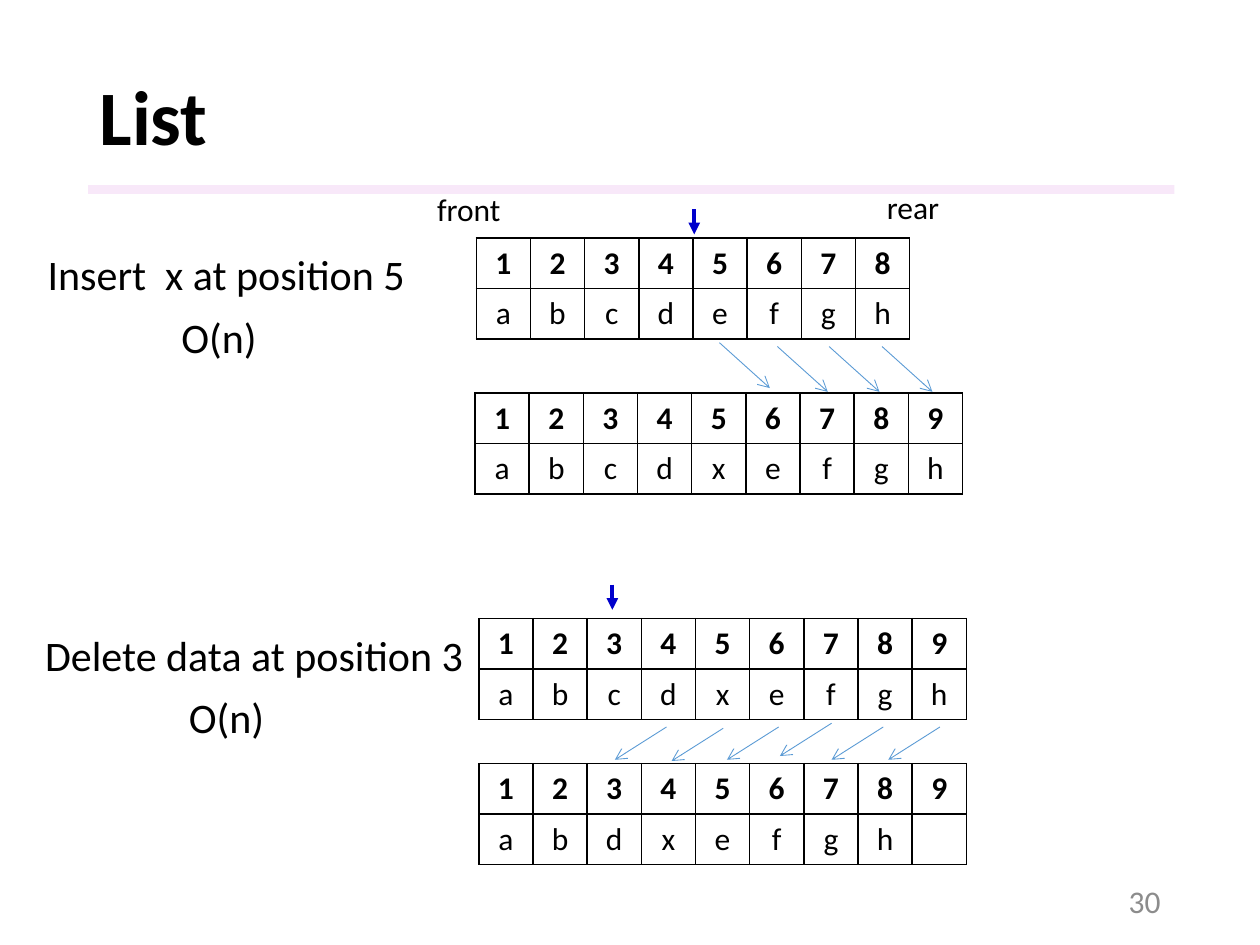
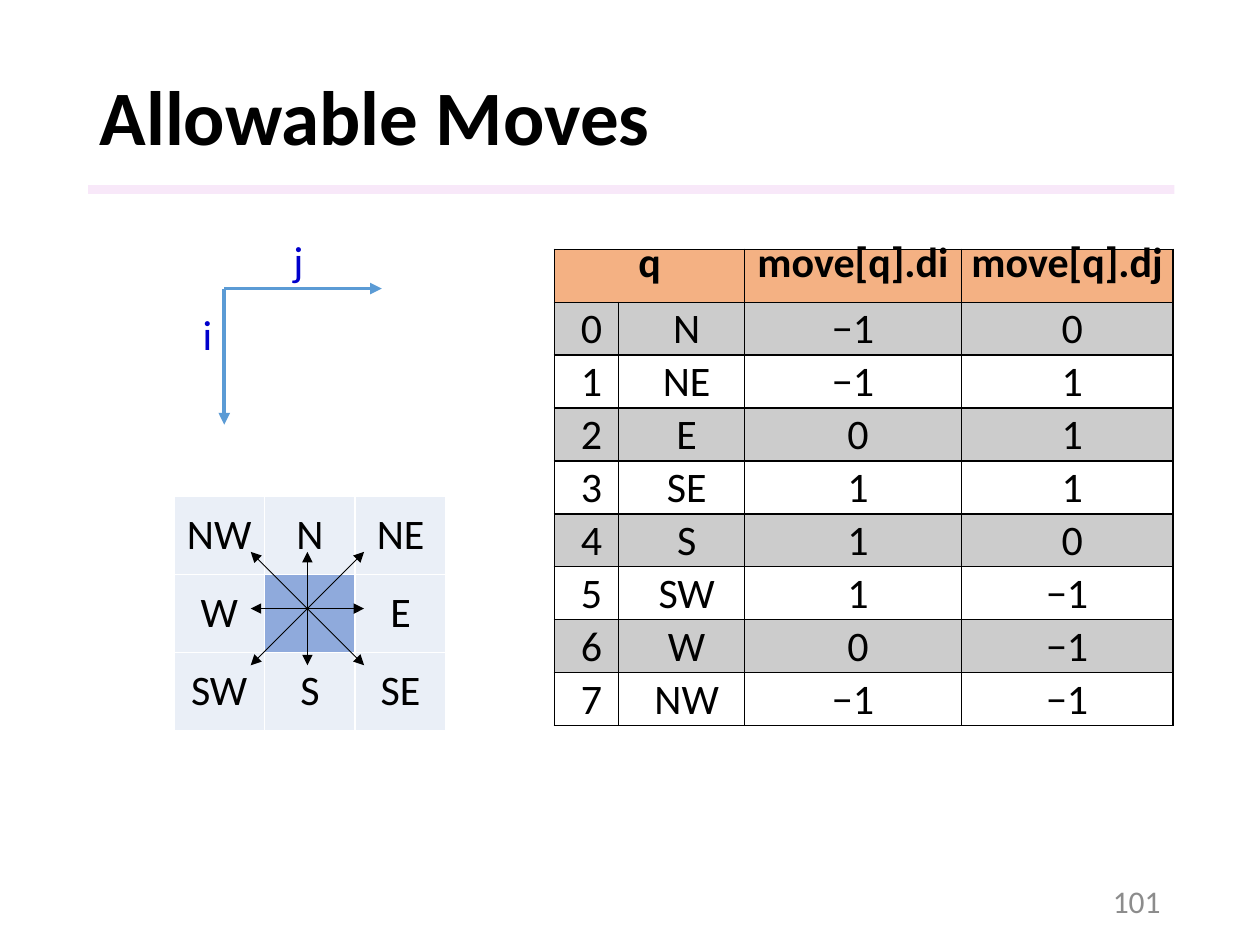
from typing import NamedTuple, Optional

from lxml import etree
from pptx import Presentation
from pptx import util as u
from pptx.dml.color import RGBColor
from pptx.enum import shapes, text
from pptx.oxml.ns import qn

FONT = "Calibri"
BLACK, WHITE, GRAY = "000000", "FFFFFF", "8C8C8C"
BAND, NAVY, SKY = "F3D2F4", "0000CC", "5B9BD5"
ORANGE, PALE, CENTRE = "F4B183", "EAEFF7", "8FAADC"
CENTERED = text.PP_ALIGN.CENTER
MIDDLE = text.MSO_ANCHOR.MIDDLE


class Label(NamedTuple):
    left: float
    top: float
    width: float
    text: str
    size: int = 24
    color: str = BLACK


class Arrow(NamedTuple):
    start: tuple[float, float]
    end: tuple[float, float]
    color: str = SKY
    width: float = 0.5
    tail: str = "triangle"
    head: Optional[str] = None


class ListState(NamedTuple):
    left: float
    top: float
    items: str
    slots: int


class CellStyle(NamedTuple):
    size: int
    bold: bool = False
    fill: Optional[str] = None
    alpha: int = 100
    border: str = BLACK
    anchor: text.MSO_ANCHOR = text.MSO_ANCHOR.TOP
    compact: bool = False


LIST_STATES = (
    ListState(3.78, 1.89, "abcdefgh", 8),
    ListState(3.77, 3.12, "abcdxefgh", 9),
    ListState(3.8, 4.91, "abcdxefgh", 9),
    ListState(3.8, 6.06, "abdxefgh", 9),
)
LIST_LABELS = (
    Label(0.28, 1.92, 3.06, "Insert  x at position 5"),
    Label(0.26, 4.95, 3.55, "Delete data at position 3"),
    Label(3.37, 1.46, 0.71, "front", 18),
    Label(6.94, 1.44, 0.62, "rear", 18),
    Label(1.34, 2.42, 0.81, "O(n)"),
    Label(1.4, 5.44, 0.81, "O(n)"),
)
POSITION_MARKS = ((5.51, 1.66), (4.86, 4.64))
INSERT_STARTS = ((5.71, 2.72), (6.17, 2.75), (6.58, 2.75), (7, 2.75))
DELETE_STARTS = ((5.29, 5.77), (5.74, 5.78), (6.18, 5.77),
                 (6.6, 5.74), (7.01, 5.77), (7.46, 5.77))
MOVES = (("N", -1, 0), ("NE", -1, 1), ("E", 0, 1), ("SE", 1, 1),
         ("S", 1, 0), ("SW", 1, -1), ("W", 0, -1), ("NW", -1, -1))
COMPASS = (("NW", "N", "NE"), ("W", "", "E"), ("SW", "S", "SE"))


def rgb(value: str) -> RGBColor:
    return RGBColor.from_string(value)


def paint(fill, properties, color: str, alpha: int = 100) -> None:
    fill.solid()
    fill.fore_color.rgb = rgb(color)
    if alpha < 100:
        tint = properties.find(qn("a:solidFill"))[0]
        etree.SubElement(tint, qn("a:alpha"), val=str(alpha * 1000))


def style_font(paragraph, size: int, color: str = BLACK, bold: bool = False) -> None:
    font = paragraph.font
    font.name, font.size, font.bold = FONT, u.Pt(size), bold
    font.color.rgb = rgb(color)


def add_label(container, label: Label) -> None:
    height = 0.4 if label.size == 18 else 0.5
    box = container.add_textbox(u.Inches(label.left), u.Inches(label.top),
                                u.Inches(label.width), u.Inches(height))
    frame = box.text_frame
    frame.word_wrap = False
    frame.auto_size = text.MSO_AUTO_SIZE.SHAPE_TO_FIT_TEXT
    frame.text = label.text
    style_font(frame.paragraphs[0], label.size, label.color)


def add_arrow(container, arrow: Arrow) -> None:
    connector = container.add_connector(
        shapes.MSO_CONNECTOR.STRAIGHT,
        *(u.Inches(value) for value in arrow.start + arrow.end))
    connector.line.color.rgb = rgb(arrow.color)
    connector.line.width = u.Pt(arrow.width)
    properties = connector.element.spPr
    line = properties.find(qn("a:ln"))
    for tag, kind in (("a:headEnd", arrow.head), ("a:tailEnd", arrow.tail)):
        if kind:
            etree.SubElement(line, qn(tag), type=kind)
    etree.SubElement(properties, qn("a:effectLst"))


def add_grid(slide, left: float, top: float, widths: list[float], height: float, rows: int):
    frame = slide.shapes.add_table(rows, len(widths), u.Inches(left), u.Inches(top),
                                   u.Inches(sum(widths)), u.Inches(height * rows))
    table = frame.table
    table.first_row = table.horz_banding = False
    for column, width in zip(table.columns, widths):
        column.width = u.Inches(width)
    for row in table.rows:
        row.height = u.Inches(height)
    return table


def fill_cell(cell, content: str, style: CellStyle) -> None:
    properties = cell._tc.get_or_add_tcPr()
    for side in "LRTB":
        line = etree.SubElement(properties, qn(f"a:ln{side}"), w=str(u.Pt(1)))
        solid = etree.SubElement(line, qn("a:solidFill"))
        etree.SubElement(solid, qn("a:srgbClr"), val=style.border)
    if style.fill:
        paint(cell.fill, properties, style.fill, style.alpha)
    else:
        cell.fill.background()
    cell.vertical_anchor = style.anchor
    cell.text = content
    paragraph = cell.text_frame.paragraphs[0]
    paragraph.alignment = CENTERED
    style_font(paragraph, style.size, bold=style.bold)
    if style.compact:
        cell.margin_left = cell.margin_right = u.Inches(0.07)
        cell.margin_top = cell.margin_bottom = 0
        paragraph.line_spacing = u.Pt(15)


def add_list_state(slide, state: ListState) -> None:
    table = add_grid(slide, state.left, state.top, [0.43] * state.slots, 0.4, 2)
    for index in range(state.slots):
        fill_cell(table.cell(0, index), str(index + 1), CellStyle(18, bold=True))
        fill_cell(table.cell(1, index), state.items[index:index + 1], CellStyle(18))


def add_move_table(slide) -> None:
    table = add_grid(slide, 4.4, 1.98, [0.51, 1, 1.72, 1.68], 0.42, len(MOVES) + 1)
    header = CellStyle(24, True, ORANGE, anchor=MIDDLE, compact=True)
    for column, content in enumerate(("q", "", "move[q].di", "move[q].dj")):
        fill_cell(table.cell(0, column), content, header)
    table.cell(0, 0).merge(table.cell(0, 1))
    for number, move in enumerate(MOVES):
        shade = BLACK if number % 2 == 0 else None
        style = CellStyle(24, False, shade, 20, anchor=text.MSO_ANCHOR.BOTTOM, compact=True)
        for column, value in enumerate((number, *move)):
            cell = table.cell(number + 1, column)
            content = str(value).replace("-", "−")
            fill_cell(cell, content, style)
            if not content.startswith("−"):
                indent = cell.text_frame.paragraphs[0]._p.get_or_add_pPr()
                indent.set("marL", str(u.Inches(0.08)))
                indent.set("indent", "0")


def add_compass(slide) -> None:
    table = add_grid(slide, 1.38, 3.94, [0.72] * 3, 0.62, 3)
    for row, directions in enumerate(COMPASS):
        for column, direction in enumerate(directions):
            style = CellStyle(24, fill=PALE if direction else CENTRE,
                              border=WHITE, anchor=MIDDLE)
            cell = table.cell(row, column)
            fill_cell(cell, direction, style)
            cell.margin_left = cell.margin_right = u.Inches(0.05)
    x, y, reach = 2.44, 4.83, 0.45
    for dx, dy in ((0, -1), (1, 0), (1, -1), (1, 1)):
        add_arrow(slide.shapes, Arrow((x - dx * reach, y - dy * reach),
                                      (x + dx * reach, y + dy * reach),
                                      BLACK, head="triangle"))


def add_axes(slide) -> None:
    axes = slide.shapes.add_group_shape().shapes
    for end in ((3.03, 2.29), (1.78, 3.37)):
        add_arrow(axes, Arrow((1.78, 2.29), end, width=2.25))
    add_label(axes, Label(2.23, 1.81, 0.28, "j", color=NAVY))
    add_label(axes, Label(1.51, 2.4, 0.28, "i", color=NAVY))


def add_base_slide(presentation, heading: str, number: int):
    slide = presentation.slides.add_slide(presentation.slide_layouts[5])
    band = slide.shapes.add_shape(shapes.MSO_SHAPE.RECTANGLE, u.Inches(0.7),
                                  u.Inches(1.47), u.Inches(8.62), u.Inches(0.07))
    band.shadow.inherit = False
    paint(band.fill, band.element.spPr, BAND, 50)
    band.line.fill.background()

    title = slide.shapes.title
    title.left, title.top = u.Inches(0.69), u.Inches(0.4)
    title.width, title.height = u.Inches(8.62), u.Inches(1.11)
    title.text_frame.text = heading
    title.text_frame.vertical_anchor = MIDDLE
    paragraph = title.text_frame.paragraphs[0]
    paragraph.alignment = text.PP_ALIGN.LEFT
    paragraph.line_spacing = 0.9
    style_font(paragraph, 44, bold=True)

    footer = slide.shapes.add_textbox(u.Inches(7.06), u.Inches(6.95),
                                      u.Inches(2.25), u.Inches(0.4)).text_frame
    footer.word_wrap = True
    footer.vertical_anchor = MIDDLE
    footer.text = str(number)
    footer.paragraphs[0].alignment = text.PP_ALIGN.RIGHT
    style_font(footer.paragraphs[0], 18, GRAY)
    return slide


def build_list_slide(presentation) -> None:
    slide = add_base_slide(presentation, "List", 30)
    for state in LIST_STATES:
        add_list_state(slide, state)
    for x, y in POSITION_MARKS:
        add_arrow(slide.shapes, Arrow((x, y), (x, y + 0.2), NAVY, 2.25))
    for starts, dx, dy in ((INSERT_STARTS, 0.4, 0.36), (DELETE_STARTS, -0.41, 0.26)):
        for x, y in starts:
            add_arrow(slide.shapes, Arrow((x, y), (x + dx, y + dy), tail="arrow"))
    for label in LIST_LABELS:
        add_label(slide.shapes, label)


def build_moves_slide(presentation) -> None:
    slide = add_base_slide(presentation, "Allowable Moves", 101)
    add_move_table(slide)
    add_compass(slide)
    add_axes(slide)


def main() -> None:
    """Build the list and allowable-moves slides."""
    presentation = Presentation()
    presentation.slide_width, presentation.slide_height = u.Inches(10), u.Inches(7.5)
    build_list_slide(presentation)
    build_moves_slide(presentation)
    presentation.save("out.pptx")


if __name__ == "__main__":
    main()
